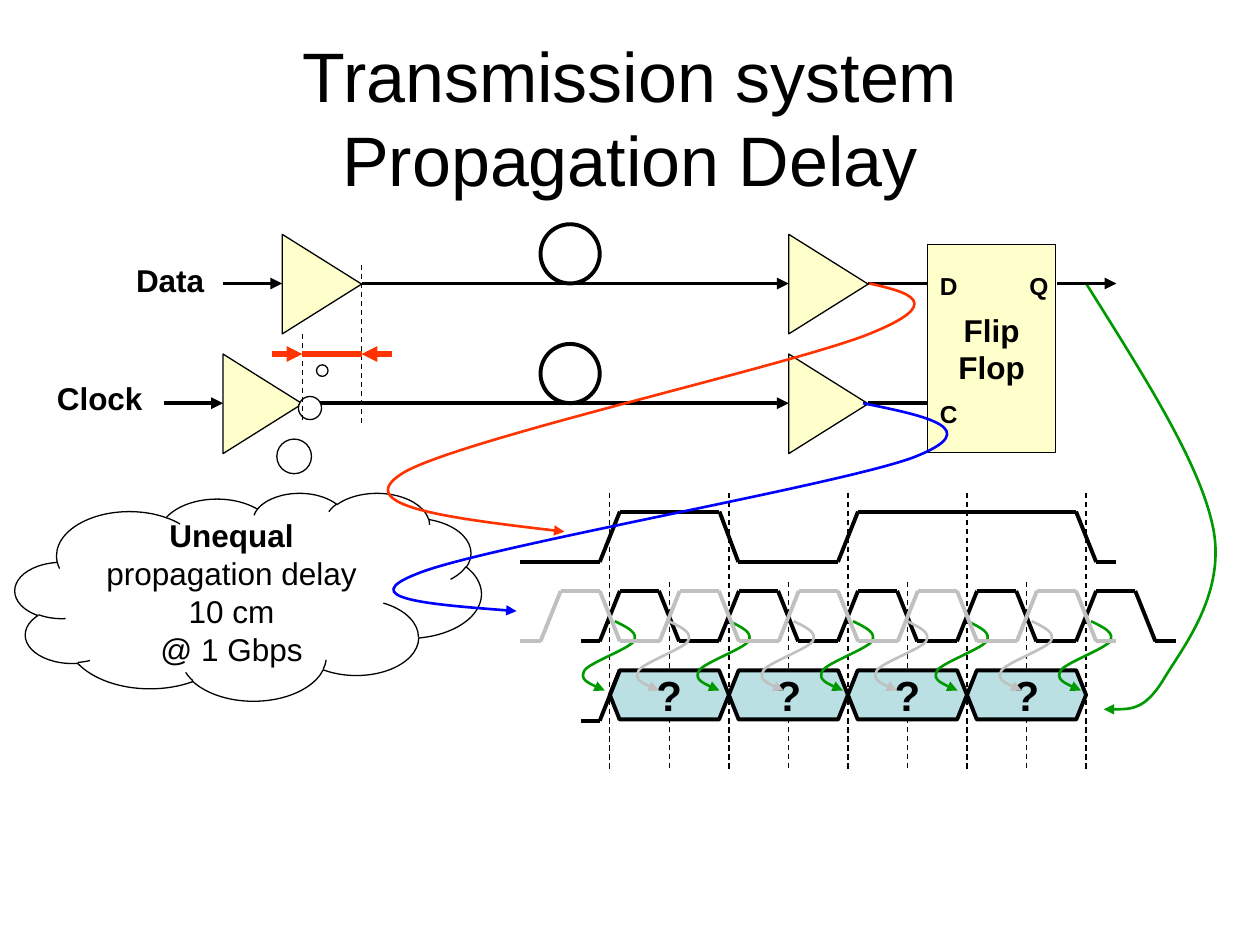
from dataclasses import dataclass

from lxml import etree
from pptx import Presentation
from pptx import util as u
from pptx.dml.color import RGBColor
from pptx.enum import dml, shapes, text
from pptx.oxml.ns import qn

COLORS = {"black": "000000", "cream": "FFFFCC", "white": "FFFFFF", "teal": "BBE0E3",
          "green": "009900", "red": "FF3300", "blue": "0000FF", "gray": "C0C0C0"}
KIND = shapes.MSO_SHAPE
ALIGN = text.PP_ALIGN
Point = tuple[float, float]

BIT = 0.945                     # one bit period on the timing diagram
BIT_START = 4.84
DATA_Y, CLOCK_Y = 2.25, 3.2
# Sampling arrow, relative to its start: three Bezier segments
WIGGLE = [(0, 0), (.1, .05), (.19, .09), (.15, .16),
          (.11, .22), (-.2, .33), (-.24, .39),
          (-.28, .46), (-.18, .51), (-.08, .55)]


@dataclass
class Line:
    start: Point
    end: Point
    color: str = "black"
    width: float = 2.25
    dash: bool = False
    arrow: bool = False


@dataclass
class Box:
    kind: shapes.MSO_SHAPE
    x: float
    y: float
    w: float
    h: float
    fill: str | None = None
    width: float = 0.75
    rotation: float = 0


@dataclass
class Label:
    value: str
    x: float
    y: float
    w: float
    h: float
    size: float
    align: ALIGN = ALIGN.CENTER


def rgb(name: str) -> RGBColor:
    return RGBColor.from_string(COLORS[name])


def write(tf, *paragraphs, size=18, align=ALIGN.CENTER, wrap=False, bold=True,
          anchor=text.MSO_ANCHOR.MIDDLE) -> None:
    """Each paragraph is a string, or a list of (string, bold) runs."""
    tf.word_wrap = wrap
    tf.vertical_anchor = anchor
    for i, runs in enumerate(paragraphs):
        p = tf.paragraphs[0] if i == 0 else tf.add_paragraph()
        p.alignment = align
        for value, run_bold in [(runs, bold)] if isinstance(runs, str) else runs:
            for n, part in enumerate(value.split("\n")):
                if n:
                    p.add_line_break()
                r = p.add_run()
                r.text = part
                r.font.name, r.font.size, r.font.bold = "Arial", u.Pt(size), run_bold
                r.font.color.rgb = rgb("black")


def add_arrowhead(sp) -> None:
    etree.SubElement(sp.line._get_or_add_ln(), qn("a:tailEnd"), type="triangle")


def draw_line(s, line: Line) -> None:
    ends = [u.Inches(v) for v in (*line.start, *line.end)]
    sp = s.shapes.add_connector(shapes.MSO_CONNECTOR.STRAIGHT, *ends)
    sp.line.color.rgb = rgb(line.color)
    sp.line.width = u.Pt(line.width)
    if line.dash:
        sp.line.dash_style = dml.MSO_LINE.DASH
    if line.arrow:
        add_arrowhead(sp)
    etree.SubElement(sp._element.spPr, qn("a:effectLst"))


def draw_box(s, box: Box):
    sp = s.shapes.add_shape(box.kind, *[u.Inches(v) for v in (box.x, box.y, box.w, box.h)])
    sp.shadow.inherit = False
    sp.rotation = box.rotation
    if box.fill:
        sp.fill.solid()
        sp.fill.fore_color.rgb = rgb(box.fill)
    else:
        sp.fill.background()
    sp.line.color.rgb = rgb("black")
    sp.line.width = u.Pt(box.width)
    return sp


def draw_label(s, label: Label) -> None:
    sp = s.shapes.add_textbox(*[u.Inches(v) for v in (label.x, label.y, label.w, label.h)])
    write(sp.text_frame, label.value, size=label.size, align=label.align,
          anchor=text.MSO_ANCHOR.TOP)
    sp.text_frame.auto_size = text.MSO_AUTO_SIZE.SHAPE_TO_FIT_TEXT


def draw_curve(s, points: list[Point], color: str) -> None:
    """Arrow along cubic Bezier segments: a start, then three points for each."""
    start, *rest = [(u.Inches(x), u.Inches(y)) for x, y in points]
    builder = s.shapes.build_freeform(*start)
    builder.add_line_segments(rest, close=False)
    sp = builder.convert_to_shape()
    outline = next(sp._element.iter(qn("a:path")))
    segments = outline.findall(qn("a:lnTo"))
    for i in range(0, len(segments), 3):
        bezier = etree.SubElement(outline, qn("a:cubicBezTo"))
        for segment in segments[i:i + 3]:
            bezier.append(segment[0])
            outline.remove(segment)
    sp.shadow.inherit = False
    sp.fill.background()
    sp.line.color.rgb = rgb(color)
    sp.line.width = u.Pt(1.5)
    add_arrowhead(sp)


def draw_wave(s, points: list[Point], color: str = "black") -> None:
    for start, end in zip(points, points[1:]):
        draw_line(s, Line(start, end, color))


def draw_clock_wave(s, first: float, rise: float, last: float, color: str) -> None:
    high, low = 4.69, 5.09
    points = [(first, low)]
    for i in range(5):
        x = rise + i * BIT
        points += [(x, low), (x + .16, high), (x + .47, high), (x + .63, low)]
    draw_wave(s, points + [(last, low)], color)


def draw_wiggles(s, starts: list[float], color: str) -> None:
    for x in starts:
        draw_curve(s, [(x + dx, 4.93 + dy) for dx, dy in WIGGLE], color)


def draw_channel(s, y: float, sender_x: float) -> None:
    """Input arrow, sender, fibre loop, receiver and output of one signal."""
    for x in (6.18, sender_x - .08):
        draw_box(s, Box(KIND.ISOSCELES_TRIANGLE, x, y - .31, .79, .63, "cream", rotation=90))
    for x1, x2, arrow in [(sender_x + .63, 6.26, True), (6.89, 7.36, False),
                          (sender_x - .47, sender_x, True)]:
        draw_line(s, Line((x1, y), (x2, y), arrow=arrow))
    draw_box(s, Box(KIND.OVAL, 4.29, y - .47, .47, .47, width=2.25))


def main() -> None:
    prs = Presentation()
    prs.slide_width, prs.slide_height = u.Inches(10), u.Inches(7.5)
    s = prs.slides.add_slide(prs.slide_layouts[5])

    # Title
    title = s.shapes.title
    title.left, title.top, title.width, title.height = [u.Inches(v) for v in (.5, .3, 9, 1.25)]
    write(title.text_frame, "Transmission system\nPropagation Delay", size=40, wrap=True, bold=False)
    title.text_frame.auto_size = text.MSO_AUTO_SIZE.NONE

    # Flip-flop, channels and labels
    flip_flop = draw_box(s, Box(KIND.RECTANGLE, 7.36, 1.94, 1.02, 1.65, "cream"))
    write(flip_flop.text_frame, "Flip", "Flop")
    draw_channel(s, DATA_Y, 2.24)
    draw_channel(s, CLOCK_Y, 1.77)
    for label in [Label("D", 7.36, 2.1, .34, .33, 14), Label("C", 7.36, 3.12, .34, .33, 14),
                  Label("Q", 8.07, 2.1, .35, .33, 14),
                  Label("Data", .98, 2.02, .74, .4, 18, ALIGN.RIGHT),
                  Label("Clock", .35, 2.96, .88, .4, 18, ALIGN.RIGHT)]:
        draw_label(s, label)

    # Bit and half-bit guides, data wave
    for first, top, count in [(BIT_START, 3.91, 5), (BIT_START + BIT / 2, 4.62, 4)]:
        for i in range(count):
            x = first + i * BIT
            draw_line(s, Line((x, top), (x, 6.11), width=.75, dash=True))
    draw_wave(s, [(4.13, 4.46), (4.76, 4.46), (4.92, 4.06), (5.71, 4.06), (5.86, 4.46),
                  (6.65, 4.46), (6.81, 4.06), (8.54, 4.06), (8.7, 4.46), (8.86, 4.46)])

    # Flip-flop output
    draw_curve(s, [(8.62, 2.25), (9.07, 2.97), (9.53, 3.68), (9.63, 4.2), (9.73, 4.73),
                   (9.37, 5.16), (9.23, 5.4), (9.08, 5.64), (8.92, 5.63), (8.76, 5.63)], "green")
    draw_line(s, Line((8.39, DATA_Y), (8.86, DATA_Y), arrow=True))

    # Delay cloud
    cloud = draw_box(s, Box(KIND.CLOUD_CALLOUT, .12, 3.91, 3.7, 1.65, "white"))
    cloud.adjustments[0], cloud.adjustments[1] = .159, -1.087
    write(cloud.text_frame, [("Unequal", True), (" propagation delay", False)],
          "10 cm", "@ 1 Gbps", wrap=True, bold=False)

    # Sampled output
    for i in range(4):
        sample = draw_box(s, Box(KIND.HEXAGON, BIT_START + i * BIT, 5.32, BIT, .39, "teal", 2.25))
        sample.adjustments[0] = .199
        write(sample.text_frame, "?", size=24)
    draw_wave(s, [(4.61, 5.72), (4.76, 5.72), (4.92, 5.32)])

    # Clock wave and its sampling arrows
    draw_clock_wave(s, 4.61, 4.76, 9.33, "black")
    draw_wiggles(s, [4.88, 5.79, 6.77, 7.68, 8.66], "green")

    # Skew between the two senders
    for x, top in [(2.87, 2.1), (2.4, 2.65)]:
        draw_line(s, Line((x, top), (x, 3.36), width=.75, dash=True))
    for x1, x2, arrow in [(2.16, 2.4, True), (3.11, 2.87, True), (2.87, 2.4, False)]:
        draw_line(s, Line((x1, 2.81), (x2, 2.81), "red", 3, arrow=arrow))

    # From the receivers to their waves
    draw_curve(s, [(6.9, 2.25), (7.21, 2.32), (7.52, 2.4), (6.9, 2.65), (6.28, 2.9),
                   (3.59, 3.5), (3.19, 3.76), (2.78, 4.02), (3.63, 4.12), (4.48, 4.22)], "red")
    draw_curve(s, [(6.85, 3.2), (7.34, 3.3), (7.84, 3.4), (7.25, 3.63), (6.66, 3.85),
                   (3.84, 4.34), (3.32, 4.55), (2.8, 4.75), (3.45, 4.8), (4.1, 4.85)], "blue")

    # Early clock wave
    draw_clock_wave(s, 4.13, 4.29, 8.86, "gray")
    draw_wiggles(s, [5.31, 6.3, 7.2, 8.19], "gray")

    prs.save("out.pptx")


if __name__ == "__main__":
    main()
